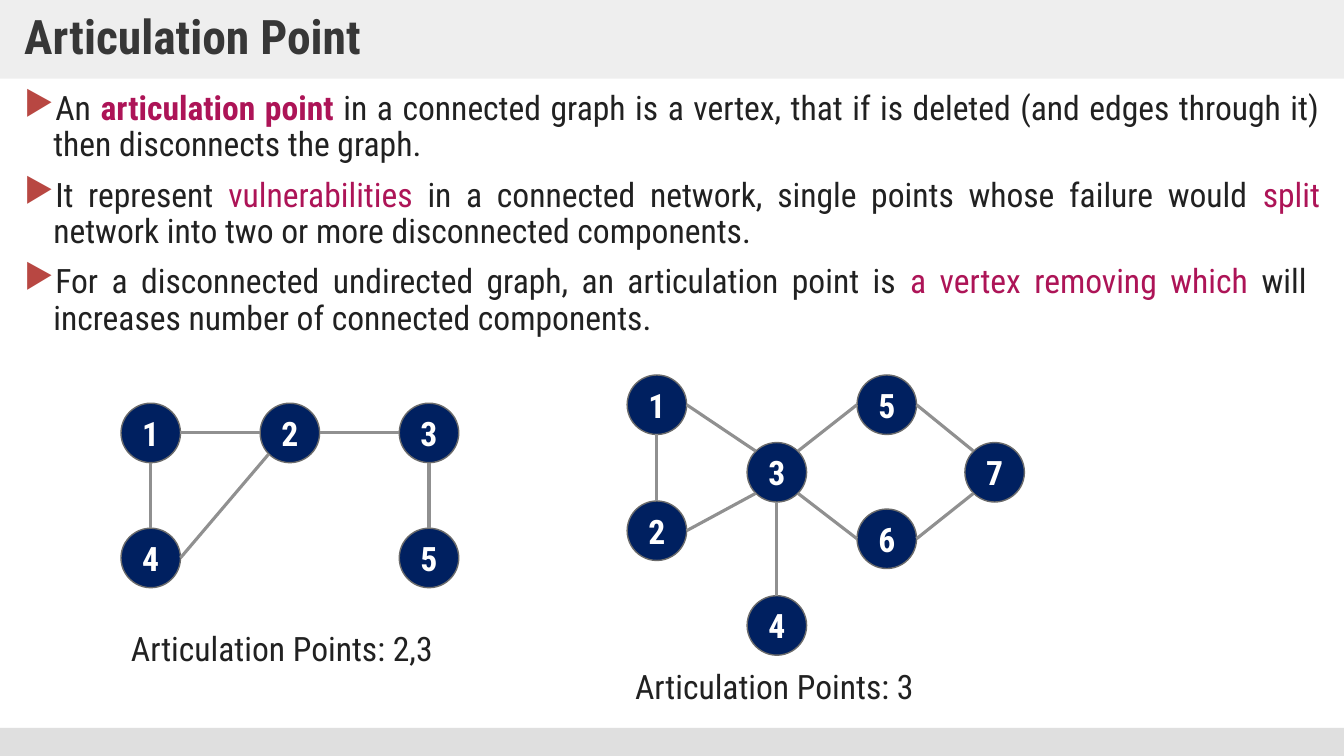
from pptx import Presentation
from pptx.dml.color import RGBColor
from pptx.enum import shapes, text
from pptx.oxml import ns, xmlchemy
from pptx.util import Inches, Pt

FONT = "Roboto Condensed"
INK, ACCENT, BAND = "212121", "AD1457", "DFDFDF"
NODE_SIZE = 0.59
DIAGONAL = 0.71
SIDES = {
    "n": (0, -1), "s": (0, 1), "w": (-1, 0), "e": (1, 0),
    "ne": (DIAGONAL, -DIAGONAL), "nw": (-DIAGONAL, -DIAGONAL),
    "se": (DIAGONAL, DIAGONAL), "sw": (-DIAGONAL, DIAGONAL),
}


def color(value):
    return RGBColor.from_string(value)


def add_child(parent, tag, **attributes):
    child = xmlchemy.OxmlElement(tag)
    for name, value in attributes.items():
        child.set(name, value)
    parent.append(child)
    return child


def add_run(paragraph, words, size=24, ink=INK, bold=False):
    run = paragraph.add_run()
    run.text = words
    run.font.name = FONT
    run.font.size = Pt(size)
    run.font.bold = bold
    run.font.color.rgb = color(ink)


def add_box(slide, kind, box, fill, line=None):
    shape = slide.shapes.add_shape(kind, *map(Inches, box))
    shape.shadow.inherit = False
    shape.fill.solid()
    shape.fill.fore_color.rgb = color(fill)
    if line:
        shape.line.color.rgb = color(line)
        shape.line.width = Pt(1)
    else:
        shape.line.fill.background()
    return shape


def add_text_box(slide, box):
    frame = slide.shapes.add_textbox(*map(Inches, box)).text_frame
    frame.word_wrap = True
    return frame


def add_title(slide, box, words):
    shape = add_box(slide, shapes.MSO_SHAPE.RECTANGLE, box, BAND)
    fill = shape.fill.fore_color._xFill.find(ns.qn("a:srgbClr"))
    add_child(fill, "a:alpha", val="50000")
    frame = shape.text_frame
    frame.word_wrap = True
    frame.vertical_anchor = text.MSO_ANCHOR.MIDDLE
    frame.margin_left = frame.margin_right = Inches(0.24)
    frame.margin_top = frame.margin_bottom = Inches(0.12)
    paragraph = frame.paragraphs[0]
    paragraph.alignment = text.PP_ALIGN.LEFT
    paragraph.line_spacing = 0.9
    add_run(paragraph, words, size=34, ink="373737", bold=True)


def add_bullets(slide, box, items):
    frame = add_text_box(slide, box)
    for index, runs in enumerate(items):
        paragraph = frame.add_paragraph() if index else frame.paragraphs[0]
        paragraph.alignment = text.PP_ALIGN.JUSTIFY
        paragraph.line_spacing = 0.9
        paragraph.space_before = Pt(10)
        properties = paragraph._p.get_or_add_pPr()
        properties.set("marL", str(Inches(0.29)))
        properties.set("indent", str(-Inches(0.29)))
        bullet_color = add_child(properties, "a:buClr")
        add_child(bullet_color, "a:srgbClr", val="B84742")
        add_child(properties, "a:buChar", char="▶")
        for words, style in runs:
            add_run(paragraph, words, **style)


def add_node(slide, left, top, label):
    box = (left, top, NODE_SIZE, NODE_SIZE)
    shape = add_box(slide, shapes.MSO_SHAPE.OVAL, box, "002060", "6B6B6B")
    frame = shape.text_frame
    frame.margin_left = frame.margin_right = 0
    frame.vertical_anchor = text.MSO_ANCHOR.MIDDLE
    frame.paragraphs[0].alignment = text.PP_ALIGN.CENTER
    add_run(frame.paragraphs[0], label, ink="FFFFFF", bold=True)


def add_edge(slide, start, end):
    connector = slide.shapes.add_connector(
        shapes.MSO_CONNECTOR.STRAIGHT, *map(Inches, start + end))
    connector.line.color.rgb = color("909090")
    connector.line.width = Pt(2.25)
    add_child(connector._element.spPr, "a:effectLst")


def add_graph(slide, box, nodes, edges, caption):
    left, top, width, height = box
    radius = NODE_SIZE / 2

    def site(label, side):
        x, y = nodes[label]
        across, down = SIDES[side]
        return (left + x + radius * (1 + across), top + y + radius * (1 + down))

    for label, (x, y) in nodes.items():
        add_node(slide, left + x, top + y, label)
    for first, first_side, second, second_side in edges:
        add_edge(slide, site(first, first_side), site(second, second_side))
    frame = add_text_box(slide, (left, top + height - 0.5, width, 0.5))
    add_run(frame.paragraphs[0], caption)


def main():
    presentation = Presentation()
    presentation.slide_width = Inches(13.33)
    presentation.slide_height = Inches(7.5)
    slide = presentation.slides.add_slide(presentation.slide_layouts[6])

    plain, marked = {}, {"ink": ACCENT}
    add_box(slide, shapes.MSO_SHAPE.RECTANGLE, (0, 7.22, 13.33, 0.28), BAND)
    add_title(slide, (0, 0, 13.33, 0.78), "Articulation Point")
    add_bullets(slide, (0.14, 0.86, 13.05, 6.11), [
        [("An ", plain),
         ("articulation point ", {"ink": ACCENT, "bold": True}),
         ("in a connected graph is a vertex, that if is deleted "
          "(and edges through it) then disconnects the graph.", plain)],
        [("It represent ", plain),
         ("vulnerabilities", marked),
         (" in a connected network, single points whose failure would ", plain),
         ("split ", marked),
         ("network into two or more disconnected components.", plain)],
        [("For a disconnected undirected graph, an articulation point is ", plain),
         ("a vertex removing which ", marked),
         ("will  increases number of connected components.", plain)],
    ])
    add_graph(
        slide, (1.2, 4, 3.31, 2.68),
        {"1": (0, 0), "2": (1.38, 0), "3": (2.76, 0),
         "4": (0, 1.24), "5": (2.76, 1.24)},
        [("1", "e", "2", "w"), ("2", "e", "3", "w"), ("1", "s", "4", "n"),
         ("4", "e", "2", "sw"), ("3", "s", "5", "n")],
        "Articulation Points: 2,3")
    add_graph(
        slide, (6.2, 3.72, 3.31, 3.34),
        {"1": (0.02, 0), "2": (0.02, 1.25), "3": (1.21, 0.67),
         "4": (1.21, 2.19), "5": (2.3, 0), "6": (2.3, 1.33),
         "7": (3.37, 0.67)},
        [("1", "e", "3", "nw"), ("1", "s", "2", "n"), ("2", "e", "3", "sw"),
         ("3", "ne", "5", "w"), ("3", "se", "6", "w"), ("3", "s", "4", "n"),
         ("5", "e", "7", "nw"), ("6", "e", "7", "sw")],
        "Articulation Points: 3")
    presentation.save("out.pptx")


if __name__ == "__main__":
    main()
